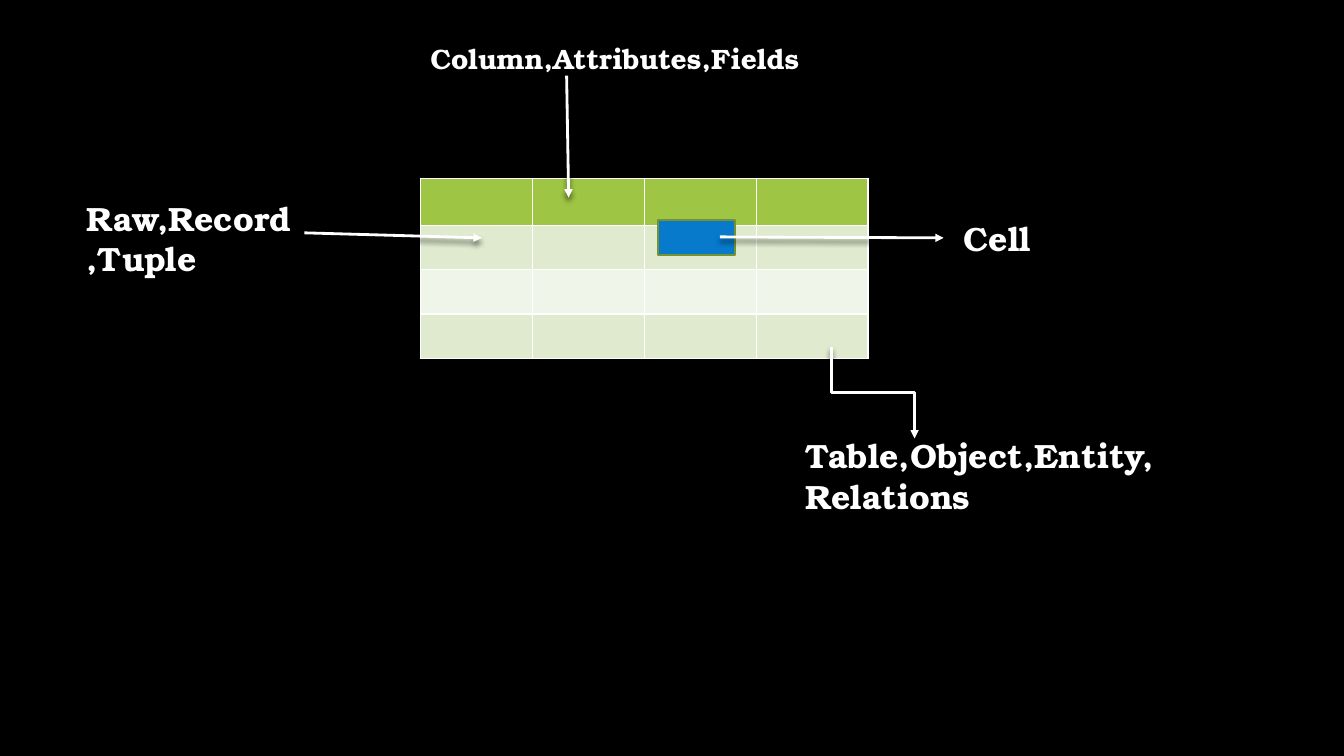
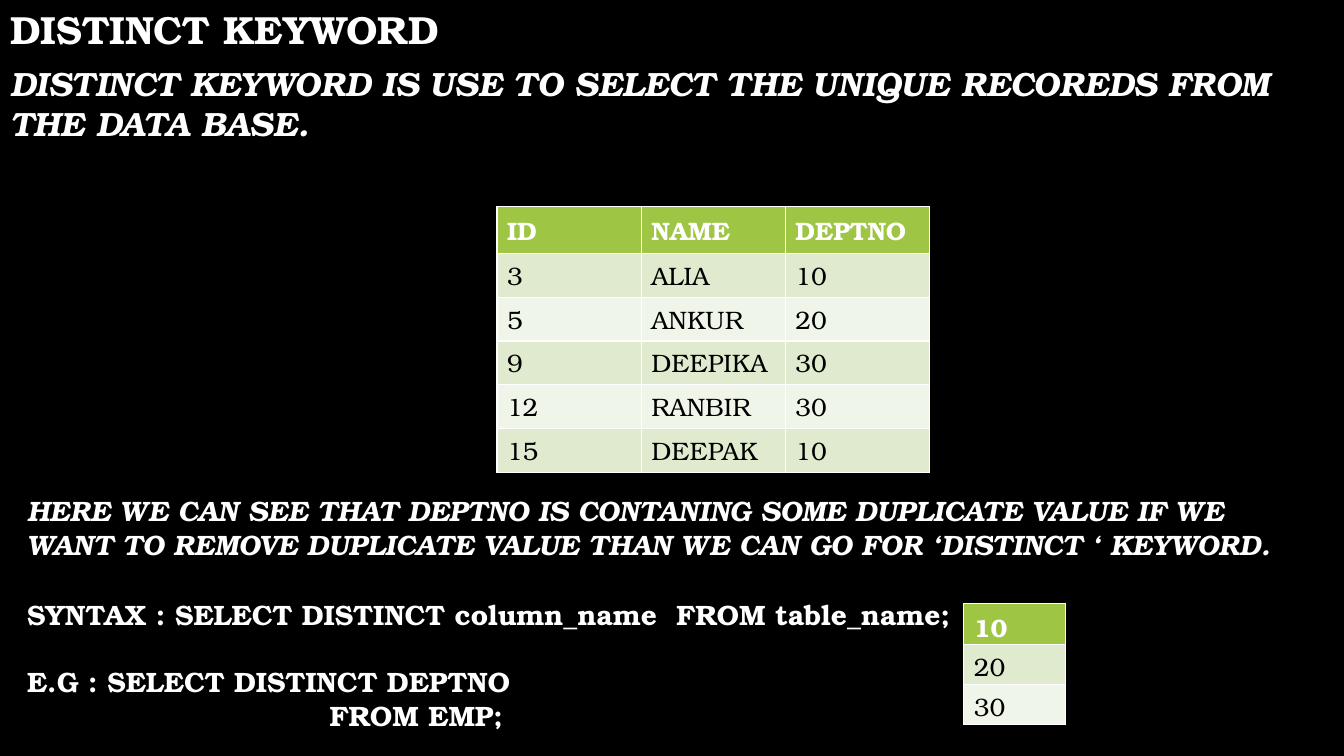
"""Build two slides on relational table terms and the DISTINCT keyword."""
from lxml import etree
from pptx import Presentation
from pptx.dml.color import RGBColor
from pptx.enum.shapes import MSO_CONNECTOR, MSO_SHAPE
from pptx.enum.text import MSO_ANCHOR, MSO_AUTO_SIZE, PP_ALIGN
from pptx.oxml import parse_xml
from pptx.oxml.ns import nsdecls, qn
from pptx.util import Inches, Pt

RECTANGLE = MSO_SHAPE.RECTANGLE
STRAIGHT, ELBOW = MSO_CONNECTOR.STRAIGHT, MSO_CONNECTOR.ELBOW
TOP, LEFT = MSO_ANCHOR.TOP, PP_ALIGN.LEFT
FIXED, GROW = MSO_AUTO_SIZE.NONE, MSO_AUTO_SIZE.SHAPE_TO_FIT_TEXT
LAYOUT_CONTENT, LAYOUT_BLANK = 1, 6

FONT = "TeX Gyre Bonum"
COLORS = {
    "background": "000000",
    "text": "FFFFFF",
    "cell_text": "000000",
    "header": "9EC544",
    "odd_row": "DFEACF",
    "even_row": "F0F5E9",
    "highlight": "077ACC",
    "highlight_line": "759232",
}
SHADOW = (
    f'<a:effectLst {nsdecls("a")}>'
    '<a:outerShdw blurRad="50800" dist="38100" dir="5400000" rotWithShape="0">'
    '<a:srgbClr val="000000"><a:alpha val="54000"/></a:srgbClr>'
    "</a:outerShdw></a:effectLst>"
)


def color(name):
    return RGBColor.from_string(COLORS[name])


class Slides:
    def __init__(self):
        self.deck = Presentation()
        self.deck.slide_width = Inches(13.33)
        self.deck.slide_height = Inches(7.5)
        fill = self.deck.slide_master.background.fill
        fill.solid()
        fill.fore_color.rgb = color("background")
        self.page = None

    def add_page(self, layout):
        self.page = self.deck.slides.add_slide(self.deck.slide_layouts[layout])

    def style(self, para, size, bold=True, italic=False, ink="text"):
        font = para.font
        font.name, font.size = FONT, Pt(size)
        font.bold, font.italic = bold, italic
        font.color.rgb = color(ink)

    def placeholder(self, index, at, text, size, italic=False):
        box = self.page.placeholders[index]
        box.left, box.top, box.width, box.height = map(Inches, at)
        frame = box.text_frame
        frame.text = text
        frame.auto_size, frame.vertical_anchor = FIXED, TOP
        para = frame.paragraphs[0]
        para.alignment, para.space_before = LEFT, Pt(0)
        self.style(para, size, italic=italic)
        properties = para._p.get_or_add_pPr()
        properties.set("marL", "0")
        properties.set("indent", "0")
        no_bullet = properties.makeelement(qn("a:buNone"))
        properties.insert_element_before(no_bullet, "a:tabLst", "a:defRPr")

    def text(self, at, lines, size, italic=False):
        box = self.page.shapes.add_textbox(*map(Inches, at))
        frame = box.text_frame
        frame.word_wrap, frame.auto_size = True, GROW
        frame.text = "\n".join(lines)
        for para in frame.paragraphs:
            self.style(para, size, italic=italic)
        return frame.paragraphs

    def table(self, left, top, column_width, row_height, rows):
        columns = len(rows[0])
        size = (column_width * columns, row_height * len(rows))
        frame = self.page.shapes.add_table(
            len(rows), columns, *map(Inches, (left, top, *size)))
        for number, row in enumerate(rows):
            header = number == 0
            band = "header" if header else "odd_row" if number % 2 else "even_row"
            for column, value in enumerate(row):
                cell = frame.table.cell(number, column)
                cell.text = value
                cell.fill.solid()
                cell.fill.fore_color.rgb = color(band)
                self.style(cell.text_frame.paragraphs[0], 18, bold=header,
                           ink="text" if header else "cell_text")

    def rectangle(self, at):
        box = self.page.shapes.add_shape(RECTANGLE, *map(Inches, at))
        box.shadow.inherit = False
        box.fill.solid()
        box.fill.fore_color.rgb = color("highlight")
        box.line.color.rgb = color("highlight_line")
        box.line.width = Pt(1.5)

    def arrow(self, start, end, kind=STRAIGHT):
        if kind == ELBOW:
            width, height = end[0] - start[0], end[1] - start[1]
            middle = (start[0] + width / 2, start[1] + height / 2)
            start = (middle[0] - height / 2, middle[1] - width / 2)
            end = (middle[0] + height / 2, middle[1] + width / 2)
        line = self.page.shapes.add_connector(kind, *map(Inches, (*start, *end)))
        line.line.color.rgb = color("text")
        line.line.width = Pt(2)
        properties = line._element.spPr
        if kind == ELBOW:
            frame = properties.find(qn("a:xfrm"))
            frame.set("rot", "16200000")
            frame.set("flipH", "1")
        etree.SubElement(properties.find(qn("a:ln")), qn("a:tailEnd"), type="triangle")
        properties.append(parse_xml(SHADOW))


def build_terms(slides):
    slides.add_page(LAYOUT_BLANK)
    slides.table(4.17, 1.77, 1.11, 0.44, [[""] * 4] * 4)
    slides.rectangle((6.53, 2.18, 0.76, 0.35))
    slides.arrow((3.02, 2.31), (4.78, 2.36))
    slides.arrow((5.62, 0.75), (5.64, 1.96))
    slides.arrow((8.25, 3.44), (9.07, 4.35), ELBOW)
    slides.arrow((7.14, 2.35), (9.36, 2.36))
    for at, label, size in (
        ((0.76, 1.91, 2.25, 0.91), "Raw,Record,Tuple", 24),
        ((4.17, 0.36, 4.25, 0.44), "Column,Attributes,Fields", 20),
        ((7.89, 4.27, 3.67, 0.91), "Table,Object,Entity,Relations", 24),
        ((9.46, 2.11, 1.84, 0.5), "Cell", 24),
    ):
        slides.text(at, [label], size)


def build_distinct(slides):
    slides.add_page(LAYOUT_CONTENT)
    slides.placeholder(0, (0, 0, 8.75, 0.57), "DISTINCT KEYWORD", 28)
    slides.placeholder(
        1, (0, 0.57, 13.15, 0.91),
        "DISTINCT KEYWORD IS USE TO SELECT THE UNIQUE RECOREDS FROM THE DATA BASE.",
        24, italic=True)
    slides.table(4.93, 2.05, 1.43, 0.41, [
        ("ID", "NAME", "DEPTNO"),
        ("3", "ALIA", "10"),
        ("5", "ANKUR", "20"),
        ("9", "DEEPIKA", "30"),
        ("12", "RANBIR", "30"),
        ("15", "DEEPAK", "10"),
    ])
    slides.text((0.17, 4.85, 12.98, 0.77), [
        "HERE WE CAN SEE THAT DEPTNO IS CONTANING SOME DUPLICATE VALUE IF WE WANT "
        "TO REMOVE DUPLICATE VALUE THAN WE CAN GO FOR ‘DISTINCT ‘ KEYWORD."
    ], 20, italic=True)
    syntax, example, source = slides.text((0.17, 5.88, 12.48, 1.45), [
        "SYNTAX : SELECT DISTINCT column_name  FROM table_name;",
        "E.G : SELECT DISTINCT DEPTNO",
        "FROM EMP;",
    ], 20)
    syntax.space_after = Pt(24)
    source._p.get_or_add_pPr().set("marL", str(Inches(3)))
    slides.table(9.56, 5.99, 1.01, 0.4, [("10",), ("20",), ("30",)])


def main():
    slides = Slides()
    build_terms(slides)
    build_distinct(slides)
    slides.deck.save("out.pptx")


if __name__ == "__main__":
    main()
